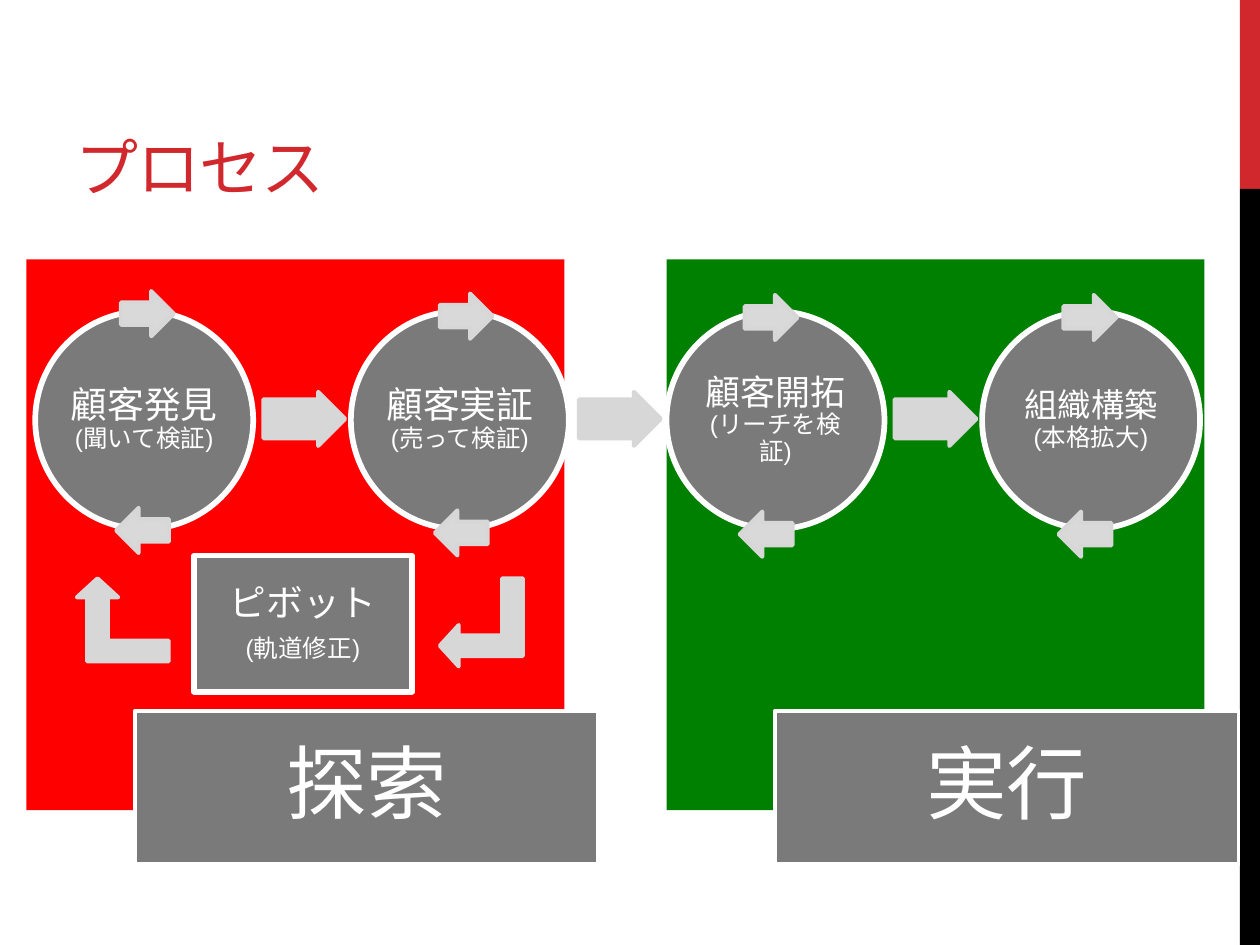
from dataclasses import dataclass
from typing import Optional

from pptx import Presentation
from pptx import util as u
from pptx.dml.color import RGBColor
from pptx.enum import shapes, text


@dataclass(frozen=True)
class Theme:
    accent: str = "D1282E"
    black: str = "000000"
    white: str = "FFFFFF"
    search: str = "FF0000"
    execute: str = "008000"
    body: str = "7A7A7A"
    arrow: str = "D7D7D7"
    loop_arrow: str = "D9D9D9"
    title_font: str = "Montserrat"
    body_font: str = "Arial"
    title_size: int = 36
    phase_size: int = 46
    pivot_size: int = 21
    detail_size: int = 14
    thin_line: float = 2.25
    thick_line: float = 3.25


@dataclass(frozen=True)
class Box:
    left: float
    top: float
    width: float
    height: float


@dataclass(frozen=True)
class Phase:
    name: str
    left: float
    color: str


@dataclass(frozen=True)
class Stage:
    name: str
    detail: str
    size: int
    loop_left: float
    loop_top: float


THEME = Theme()
KIND = shapes.MSO_SHAPE
PHASES = [Phase("探索", 0.21, THEME.search), Phase("実行", 5.29, THEME.execute)]
STAGES = [
    Stage("顧客発見", "(聞いて検証)", 21, 0.96, 2.31),
    Stage("顧客実証", "(売って検証)", 21, 3.49, 2.33),
    Stage("顧客開拓", "(リーチを検証)", 20, 5.91, 2.34),
    Stage("組織構築", "(本格拡大)", 19, 8.44, 2.34),
]
STAGE_LEFT, STAGE_TOP, STAGE_PITCH, STAGE_SIZE = 0.28, 2.47, 2.505, 1.73


def add_shape(slide, kind, box: Box, fill: str, line: Optional[str] = None,
              weight: float = THEME.thin_line):
    """Draw a preset shape with a flat fill and an optional outline."""
    shape = slide.shapes.add_shape(
        kind, u.Inches(box.left), u.Inches(box.top), u.Inches(box.width), u.Inches(box.height))
    shape.shadow.inherit = False
    shape.fill.solid()
    shape.fill.fore_color.rgb = RGBColor.from_string(fill)
    if line:
        shape.line.color.rgb = RGBColor.from_string(line)
        shape.line.width = u.Pt(weight)
    else:
        shape.line.fill.background()
    return shape


def prepare_frame(shape, inset: float):
    """Centre the text frame vertically and give it equal insets."""
    frame = shape.text_frame
    frame.word_wrap = True
    frame.vertical_anchor = text.MSO_ANCHOR.MIDDLE
    frame.margin_left = frame.margin_right = u.Inches(inset)
    frame.margin_top = frame.margin_bottom = u.Inches(inset)
    return frame


def style_paragraph(paragraph, size: int) -> None:
    """Apply the white, centred body style."""
    paragraph.alignment = text.PP_ALIGN.CENTER
    paragraph.line_spacing = 0.9
    paragraph.font.name = THEME.body_font
    paragraph.font.size = u.Pt(size)
    paragraph.font.color.rgb = RGBColor.from_string(THEME.white)


def add_title(slide, title: str) -> None:
    """Write the slide title."""
    box = slide.shapes.add_textbox(u.Inches(0.5), u.Inches(0.17), u.Inches(6.33), u.Inches(1.5))
    frame = box.text_frame
    frame.word_wrap = True
    frame.vertical_anchor = text.MSO_ANCHOR.BOTTOM
    paragraph = frame.paragraphs[0]
    run = paragraph.add_run()
    run.text = title
    run.font.name = THEME.title_font
    run.font.size = u.Pt(THEME.title_size)
    run.font.color.rgb = RGBColor.from_string(THEME.accent)
    run.font._element.set("spc", "-60")


def add_phase(slide, phase: Phase) -> None:
    """Draw a coloured phase panel with its overlapping label."""
    add_shape(slide, KIND.RECTANGLE, Box(phase.left, 2.06, 4.27, 4.37), phase.color)
    label = add_shape(slide, KIND.RECTANGLE, Box(phase.left + 0.86, 5.64, 3.68, 1.22),
                      THEME.body, THEME.white)
    paragraph = prepare_frame(label, 0.1).paragraphs[0]
    paragraph.add_run().text = phase.name
    style_paragraph(paragraph, THEME.phase_size)


def add_stage(slide, stage: Stage, left: float) -> None:
    """Draw a stage circle with the two arrows of its loop."""
    circle = add_shape(slide, KIND.OVAL, Box(left, STAGE_TOP, STAGE_SIZE, STAGE_SIZE),
                       THEME.body, THEME.white, THEME.thick_line)
    paragraph = prepare_frame(circle, 0).paragraphs[0]
    style_paragraph(paragraph, stage.size)
    paragraph.add_run().text = stage.name
    paragraph.add_line_break()
    detail = paragraph.add_run()
    detail.text = stage.detail
    detail.font.size = u.Pt(THEME.detail_size)
    for kind, shift, drop in ((KIND.RIGHT_ARROW, 0, 0), (KIND.LEFT_ARROW, -0.04, 1.72)):
        add_shape(slide, kind, Box(stage.loop_left + shift, stage.loop_top + drop, 0.42, 0.36),
                  THEME.loop_arrow, THEME.arrow)


def add_step_arrow(slide, left: float) -> None:
    """Draw the arrow that leads to the next stage."""
    arrow = add_shape(slide, KIND.RIGHT_ARROW, Box(left, 3.11, 0.65, 0.43),
                      THEME.arrow, THEME.arrow)
    arrow.adjustments[0] = 0.72


def add_pivot(slide) -> None:
    """Draw the pivot box."""
    box = add_shape(slide, KIND.RECTANGLE, Box(1.54, 4.41, 1.73, 1.08),
                    THEME.body, THEME.white, THEME.thick_line)
    frame = prepare_frame(box, 0.27)
    frame.text = "ピボット\n(軌道修正)"
    for paragraph, size in zip(frame.paragraphs, (THEME.pivot_size, THEME.detail_size)):
        style_paragraph(paragraph, size)
    frame.paragraphs[0].space_after = u.Pt(7)


def add_bent_arrow(slide, box: Box, rotation: int) -> None:
    """Draw a mirrored bent arrow of the pivot loop."""
    arrow = add_shape(slide, KIND.BENT_UP_ARROW, box, THEME.arrow, THEME.arrow)
    arrow.adjustments[2] = 0.229
    arrow.rotation = rotation
    arrow._element.spPr.xfrm.set("flipH", "1")


def main() -> None:
    """Build and save the process slide."""
    presentation = Presentation()
    presentation.slide_width, presentation.slide_height = u.Inches(10), u.Inches(7.5)
    slide = presentation.slides.add_slide(presentation.slide_layouts[6])
    add_shape(slide, KIND.RECTANGLE, Box(9.84, 0, 0.16, 1.5), THEME.accent)
    add_shape(slide, KIND.RECTANGLE, Box(9.84, 1.5, 0.16, 6), THEME.black)
    add_title(slide, "プロセス")
    for phase in PHASES:
        add_phase(slide, phase)
    for index, stage in enumerate(STAGES):
        left = STAGE_LEFT + index * STAGE_PITCH
        if index < len(STAGES) - 1:
            add_step_arrow(slide, left + 1.81)
        add_stage(slide, stage, left)
    add_pivot(slide)
    add_bent_arrow(slide, Box(3.47, 4.61, 0.7, 0.66), 270)
    add_bent_arrow(slide, Box(0.61, 4.59, 0.73, 0.66), 0)
    presentation.save("out.pptx")


if __name__ == "__main__":
    main()
